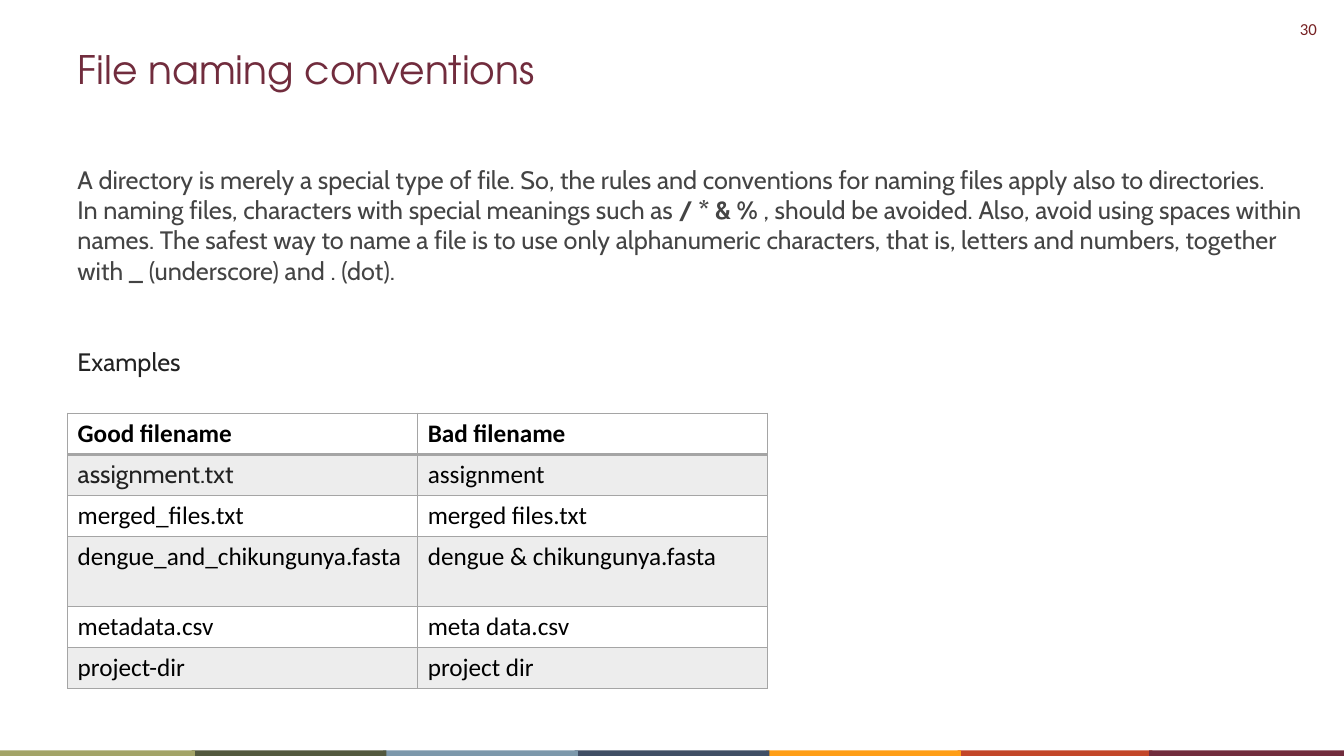
from dataclasses import dataclass
from typing import NamedTuple

from lxml import etree
from pptx import Presentation, util as u
from pptx.dml.color import RGBColor
from pptx.enum import shapes, text
from pptx.oxml import ns

WIDE, HIGH = u.Inches(13.33), u.Inches(7.5)
EDGE = 5.03  # left margin, percent of the slide width
GRAY = "A5A5A5"


class Box(NamedTuple):
    """A place in percent of the slide's width and height."""
    x: float
    y: float
    w: float
    h: float

    def area(self) -> tuple[int, int, int, int]:
        return across(self.x), down(self.y), across(self.w), down(self.h)


@dataclass
class Face:
    size: float
    name: str
    tint: str
    bold: bool = False


class Bar(NamedTuple):
    col: int
    tint: str


class Pair(NamedTuple):
    good: str
    bad: str


def across(share: float) -> int:
    return round(WIDE * share / 100)


def down(share: float) -> int:
    return round(HIGH * share / 100)


def color(code: str) -> RGBColor:
    return RGBColor.from_string(code)


def style(font, face: Face) -> None:
    font.size, font.name, font.bold = u.Pt(face.size), face.name, face.bold
    font.color.rgb = color(face.tint)


def place(shape, box: Box) -> None:
    shape.left, shape.top, shape.width, shape.height = box.area()


def label(slide, box: Box):
    frame = slide.shapes.add_textbox(*box.area()).text_frame
    frame.word_wrap = True
    return frame


def stripe(slide, bar: Bar) -> None:
    box = Box(bar.col * 14.25, 99.27, 14.5, 0.8)
    shape = slide.shapes.add_shape(shapes.MSO_SHAPE.RECTANGLE, *box.area())
    shape.shadow.inherit = False
    shape.fill.solid()
    shape.fill.fore_color.rgb = color(bar.tint)
    shape.line.fill.background()


def border(cell, side: str, width: float) -> None:
    line = etree.SubElement(cell._tc.get_or_add_tcPr(), ns.qn(f"a:ln{side}"),
                            w=str(u.Pt(width)))
    fill = etree.SubElement(line, ns.qn("a:solidFill"))
    etree.SubElement(fill, ns.qn("a:srgbClr"), val=GRAY)


def fill_cell(cell, words: str, row: int, face: Face) -> None:
    cell.text = words
    style(cell.text_frame.paragraphs[0].runs[0].font, face)
    # The rule under the header is twice as thick
    for side in "LRTB":
        thick = (row, side) in ((0, "B"), (1, "T"))
        border(cell, side, 2 if thick else 1)
    cell.fill.solid()
    cell.fill.fore_color.rgb = color("EDEDED" if row % 2 else "FFFFFF")


BARS = [Bar(5, "C34628"), Bar(6, "712C3D"), Bar(4, "FF9E16"), Bar(3, "404E65"),
        Bar(2, "7C98AB"), Bar(1, "53593E"), Bar(0, "A3A467")]

NAMES = [
    Pair("Good filename", "Bad filename"),
    Pair("assignment.txt", "assignment"),
    Pair("merged_files.txt", "merged files.txt"),
    Pair("dengue_and_chikungunya.fasta", "dengue & chikungunya.fasta"),
    Pair("metadata.csv", "meta data.csv"),
    Pair("project-dir", "project dir"),
]

INTRO = ("A directory is merely a special type of file. So, the rules and "
         "conventions for naming files apply also to directories.")
RULES = [
    ("In naming files, characters with special meanings such as ", False),
    ("/ * & %", True),
    (" , should be avoided. Also, avoid using spaces within names. The safest "
     "way to name a file is to use only alphanumeric characters, that is, "
     "letters and numbers, together with _ (underscore) and . (dot).", False),
]


def main() -> None:
    deck = Presentation()
    deck.slide_width, deck.slide_height = WIDE, HIGH
    slide = deck.slides.add_slide(deck.slide_layouts[5])

    # Page number
    page = label(slide, Box(93.47, 1.87, 5.25, 4)).paragraphs[0]
    page.text = "30"
    page.alignment = text.PP_ALIGN.RIGHT
    style(page.runs[0].font, Face(12, "Calibri", "762123"))

    # Color strip at the foot
    for bar in BARS:
        stripe(slide, bar)

    # Title
    title = slide.shapes.title
    place(title, Box(EDGE, 4.4, 76, 8.53))
    frame = title.text_frame
    frame.text = "File naming conventions"
    frame.vertical_anchor = text.MSO_ANCHOR.TOP
    head = frame.paragraphs[0]
    head.alignment = text.PP_ALIGN.LEFT
    head.line_spacing = 1.14
    style(head.runs[0].font, Face(28, "TeX Gyre Adventor", "712C3D"))

    # Body text
    body = label(slide, Box(EDGE, 21.07, 92.8, 31))
    intro = body.paragraphs[0]
    intro.text = INTRO
    style(intro.runs[0].font, Face(18, "Cabin", "444444"))
    rules = body.add_paragraph()
    for words, bold in RULES:
        run = rules.add_run()
        run.text = words
        style(run.font, Face(18, "Cabin", "444444", bold))
    lead = body.add_paragraph()
    lead.text = "Examples"
    lead.space_before = u.Pt(43.8)
    style(lead.runs[0].font, Face(18, "Cabin", "222222"))

    # Table of names
    area = Box(EDGE, 54.67, 52.1, 36.45).area()
    table = slide.shapes.add_table(len(NAMES), 2, *area).table
    table.horz_banding = False
    for col in table.columns:
        col.width = across(26.05)
    for row, pair in enumerate(NAMES):
        table.rows[row].height = down(9.25 if row == 3 else 5.44)
        for col, words in enumerate(pair):
            face = Face(18, "Calibri", "000000", row == 0)
            if (row, col) == (1, 0):
                face = Face(18, "Cabin", "222222")
            fill_cell(table.cell(row, col), words, row, face)

    deck.save("out.pptx")


if __name__ == "__main__":
    main()
